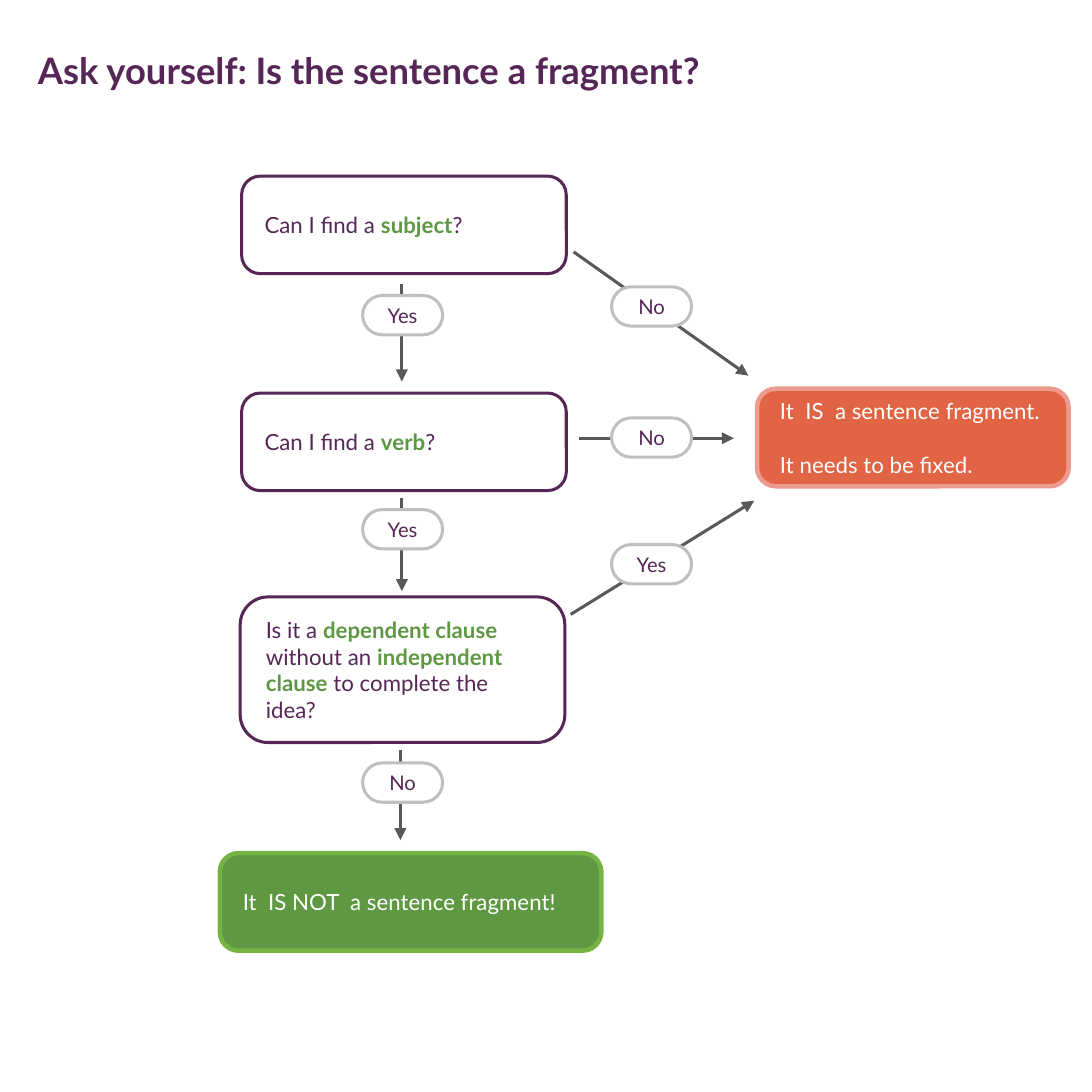
import pptx
import pptx.util
import pptx.dml.color
import pptx.enum.shapes
import pptx.enum.text
import pptx.oxml
import pptx.oxml.ns

Inches, Pt = pptx.util.Inches, pptx.util.Pt
RGBColor = pptx.dml.color.RGBColor
ALIGN = pptx.enum.text.PP_ALIGN
ANCHOR = pptx.enum.text.MSO_ANCHOR

PURPLE = RGBColor(0x55, 0x26, 0x56)
GREEN = RGBColor(0x5F, 0x98, 0x42)
LIGHT_GREEN = RGBColor(0x75, 0xB4, 0x43)
ORANGE = RGBColor(0xE1, 0x64, 0x45)
PINK = RGBColor(0xEC, 0x99, 0x8E)
DARK_GRAY = RGBColor(0x59, 0x59, 0x59)
LIGHT_GRAY = RGBColor(0xBF, 0xBF, 0xBF)
WHITE = RGBColor(0xFF, 0xFF, 0xFF)


def write_text(holder, text, size=11, color=PURPLE, bold=False,
               align=ALIGN.LEFT, anchor=ANCHOR.MIDDLE, gap=0):
    """Each line is a paragraph; words between asterisks are bold green."""
    frame = holder.text_frame
    frame.word_wrap = True
    frame.vertical_anchor = anchor
    frame.margin_left = frame.margin_right = Inches(0.12)
    frame.margin_top = frame.margin_bottom = Inches(0.12)
    for number, line in enumerate(text.split("\n")):
        paragraph = frame.add_paragraph() if number else frame.paragraphs[0]
        paragraph.alignment = align
        paragraph.space_before = Pt(gap if number else 0)
        for position, part in enumerate(line.split("*")):
            key_term = position % 2 == 1
            run = paragraph.add_run()
            run.text = part
            run.font.name = "Lato"
            run.font.size = Pt(size)
            run.font.bold = bold or key_term
            run.font.color.rgb = GREEN if key_term else color


def add_rounded(left, top, width, height, corner, fill, outline, weight):
    rounded = slide.shapes.add_shape(
        pptx.enum.shapes.MSO_SHAPE.ROUNDED_RECTANGLE,
        Inches(left), Inches(top), Inches(width), Inches(height))
    rounded.adjustments[0] = corner
    rounded.shadow.inherit = False
    rounded.fill.solid()
    rounded.fill.fore_color.rgb = fill
    rounded.line.color.rgb = outline
    rounded.line.width = Pt(weight)
    return rounded


deck = pptx.Presentation()
deck.slide_width = deck.slide_height = Inches(7.5)
slide = deck.slides.add_slide(deck.slide_layouts[6])

# Title
title = slide.shapes.add_textbox(Inches(0.14), Inches(0.21), Inches(5.91), Inches(0.59))
write_text(title, "Ask yourself: Is the sentence a fragment?",
           size=18, bold=True, anchor=ANCHOR.TOP)

# Questions
questions = [
    (1.66, 1.21, 0.67, "Can I find a *subject*?"),
    (1.66, 2.7, 0.67, "Can I find a *verb*?"),
    (1.65, 4.1, 1, "Is it a *dependent clause *without an "
                   "*independent clause* to complete the idea?"),
]
for left, top, height, wording in questions:
    question = add_rounded(left, top, 2.23, height, 0.191, WHITE, PURPLE, 1.5)
    write_text(question, wording)

# Outcomes
outcomes = [
    (1.51, 5.86, 2.62, GREEN, LIGHT_GREEN, "It  IS NOT  a sentence fragment!"),
    (5.2, 2.67, 2.14, ORANGE, PINK,
     "It  IS  a sentence fragment.\nIt needs to be fixed."),
]
for left, top, width, fill, outline, wording in outcomes:
    outcome = add_rounded(left, top, width, 0.67, 0.191, fill, outline, 2.25)
    write_text(outcome, wording, color=WHITE, gap=13.2)

# Arrows, each with its answer: start, end, answer corner, answer
branches = [
    (2.76, 1.95, 2.76, 2.62, 2.49, 2.03, "Yes"),
    (2.76, 3.42, 2.76, 4.06, 2.49, 3.5, "Yes"),
    (2.75, 5.15, 2.75, 5.77, 2.49, 5.24, "No"),
    (3.94, 1.73, 5.14, 2.58, 4.2, 1.97, "No"),
    (3.98, 3.01, 5.04, 3.01, 4.2, 2.87, "No"),
    (3.92, 4.22, 5.18, 3.44, 4.2, 3.74, "Yes"),
]
for start_x, start_y, end_x, end_y, left, top, wording in branches:
    arrow = slide.shapes.add_connector(
        pptx.enum.shapes.MSO_CONNECTOR.STRAIGHT,
        Inches(start_x), Inches(start_y), Inches(end_x), Inches(end_y))
    arrow.line.color.rgb = DARK_GRAY
    arrow.line.width = Pt(1.5)
    head = pptx.oxml.parse_xml(
        f'<a:tailEnd {pptx.oxml.ns.nsdecls("a")} type="triangle" w="med" len="med"/>')
    arrow.line._get_or_add_ln().append(head)
    no_effects = pptx.oxml.parse_xml(f'<a:effectLst {pptx.oxml.ns.nsdecls("a")}/>')
    arrow._element.spPr.append(no_effects)

    answer = add_rounded(left, top, 0.55, 0.27, 0.5, WHITE, LIGHT_GRAY, 1.5)
    write_text(answer, wording, size=10, align=ALIGN.CENTER)

deck.save("out.pptx")
